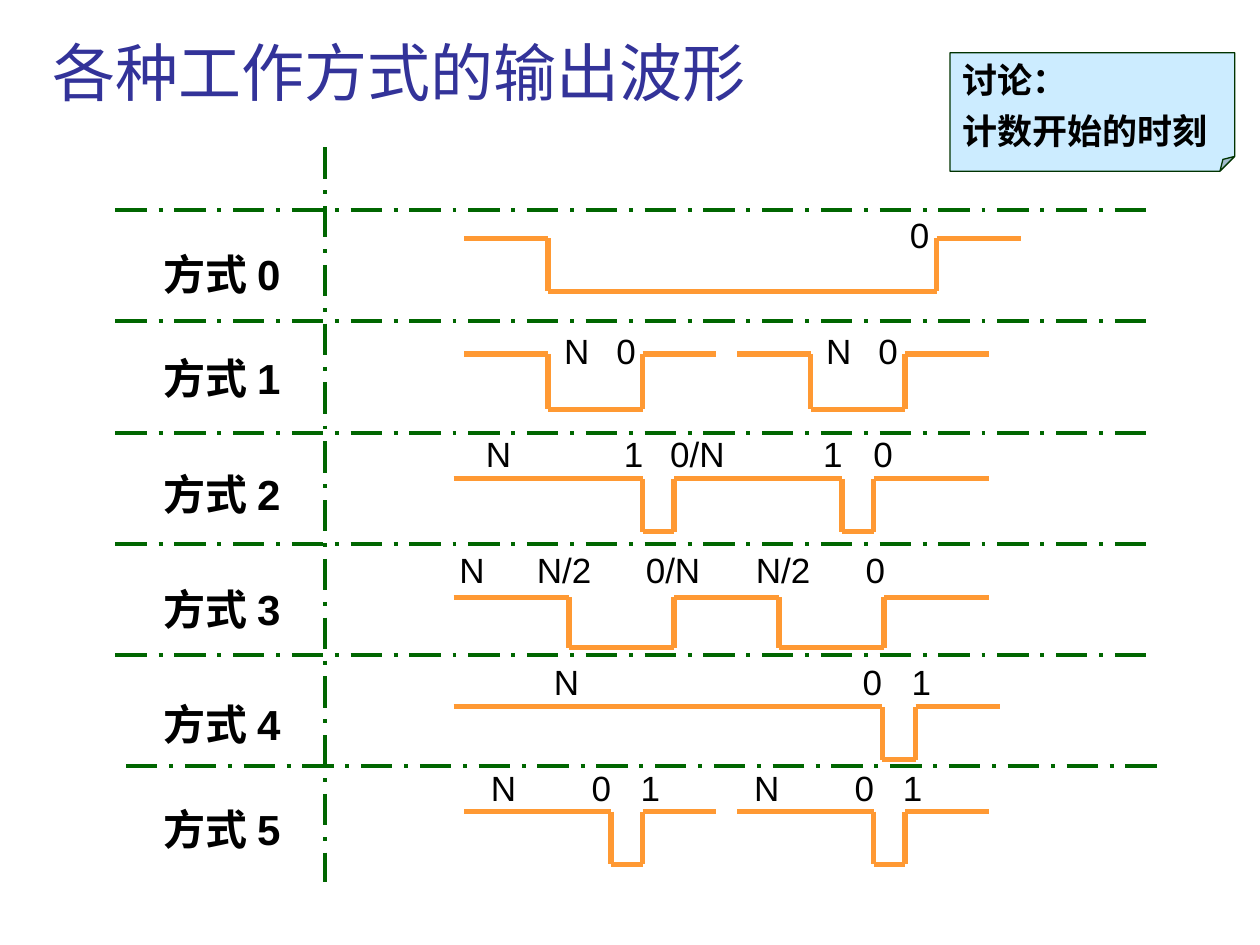
from itertools import pairwise

from lxml.etree import SubElement
from pptx import Presentation
from pptx.dml.color import RGBColor
from pptx.enum.dml import MSO_LINE
from pptx.enum.shapes import MSO_CONNECTOR, MSO_SHAPE
from pptx.enum.text import MSO_ANCHOR, PP_ALIGN
from pptx.oxml.ns import qn
from pptx.util import Pt

TITLE_BLUE = RGBColor(0x33, 0x33, 0x99)
GRID_GREEN = RGBColor(0x00, 0x66, 0x00)
WAVE_ORANGE = RGBColor(0xFF, 0x99, 0x33)
NOTE_FILL = RGBColor(0xCC, 0xEC, 0xFF)
NOTE_LINE = RGBColor(0x00, 0x33, 0x00)
BLACK = RGBColor(0, 0, 0)

ROW_PITCH = 63.5
PLOT_OFFSET = 193.2  # from the left of a row to the start of its waveforms
CAPTION_HEIGHT = 31.6

# One entry per mode; all lengths are relative to the row.
# traces: x of the start, of each edge and of the end; every trace starts high
MODES = [
    dict(label_top=18, high=16, depth=30.2, caption_top=-2.1,
         traces=[(6, 54, 276, 324)],
         captions=[("0", 266)]),
    dict(label_top=14.4, high=18.6, depth=31.7, caption_top=0.6,
         traces=[(6, 54, 108, 150), (162, 204, 258, 306)],
         captions=[("N", 68.4), ("0", 98.3), ("N", 218.2), ("0", 248)]),
    dict(label_top=17, high=26.4, depth=30.2, caption_top=-3.6,
         traces=[(0, 108, 126, 222, 240, 306)],
         captions=[("N", 23.8), ("1", 102.6), ("0/N", 139.3), ("1", 216.4), ("0", 245.2)]),
    dict(label_top=19, high=30.6, depth=28.8, caption_top=-1.1,
         traces=[(0, 66, 126, 186, 246, 306)],
         captions=[("N", 8.6), ("N/2", 63.1), ("0/N", 125.4), ("N/2", 188.3), ("0", 240.8)]),
    dict(label_top=21.6, high=29.7, depth=30.2, caption_top=-0.5,
         traces=[(0, 245, 264, 312)],
         captions=[("N", 62.6), ("0", 239.1), ("1", 267)]),
    dict(label_top=18, high=26.1, depth=30.2, caption_top=-3.4,
         traces=[(6, 90, 108, 150), (162, 240, 258, 306)],
         captions=[("N", 26.6), ("0", 84.2), ("1", 112.2),
                   ("N", 177), ("0", 234.5), ("1", 262)]),
]


def add_line(slide, x1, y1, x2, y2, color, width, dash=None):
    connector = slide.shapes.add_connector(
        MSO_CONNECTOR.STRAIGHT, Pt(x1), Pt(y1), Pt(x2), Pt(y2))
    connector.line.color.rgb = color
    connector.line.width = Pt(width)
    if dash:
        connector.line.dash_style = dash
    SubElement(connector._element.spPr, qn("a:effectLst"))


def format_font(font, name, size, color, bold=False):
    font.name = name
    font.size = Pt(size)
    font.color.rgb = color
    font.bold = bold


def add_label(slide, text, left, top, width, height, size, bold=False):
    label = slide.shapes.add_textbox(Pt(left), Pt(top), Pt(width), Pt(height))
    frame = label.text_frame
    frame.text = text
    frame.word_wrap = False
    frame.vertical_anchor = MSO_ANCHOR.MIDDLE
    frame.paragraphs[0].alignment = PP_ALIGN.CENTER
    format_font(frame.paragraphs[0].runs[0].font, "Arial", size, BLACK, bold)


def place_title(slide, left, top, width, height):
    title = slide.shapes.title
    title.left, title.top, title.width, title.height = map(Pt, (left, top, width, height))
    frame = title.text_frame
    frame.text = "各种工作方式的输出波形"
    frame.vertical_anchor = MSO_ANCHOR.BOTTOM
    frame.paragraphs[0].alignment = PP_ALIGN.LEFT
    format_font(frame.paragraphs[0].runs[0].font, "Lato", 36, TITLE_BLUE)


def draw_grid(slide, left, top, width, height):
    # Divider above each row; the last one is set in a little
    for row in range(len(MODES)):
        shift = 6 if row == len(MODES) - 1 else 0
        y = top + row * ROW_PITCH
        add_line(slide, left + shift, y, left + width + shift, y,
                 GRID_GREEN, 2.25, MSO_LINE.LONG_DASH_DOT)
    # Upright line between mode names and waveforms
    x = left + 119.8
    add_line(slide, x, top - 36, x, top + height,
             GRID_GREEN, 2.25, MSO_LINE.LONG_DASH_DOT)


def draw_trace(slide, left, high, low, edges):
    levels = [high, low] * (len(edges) // 2)
    for i, (start, end) in enumerate(pairwise(edges)):
        y = levels[i]
        add_line(slide, left + start, y, left + end, y, WAVE_ORANGE, 3)
        if i:
            add_line(slide, left + start, high, left + start, low, WAVE_ORANGE, 3)


def draw_mode(slide, left, top, number, mode):
    add_label(slide, f"方式 {number}", left + 17.3, top + mode["label_top"],
              87.1, 36, 24, bold=True)
    plot_left = left + PLOT_OFFSET
    high = top + mode["high"]
    for edges in mode["traces"]:
        draw_trace(slide, plot_left, high, high + mode["depth"], edges)
    # Counter values above the edges
    for text, center in mode["captions"]:
        width = 14.4 + 10.4 * len(text)
        add_label(slide, text, plot_left + center - width / 2,
                  top + mode["caption_top"], width, CAPTION_HEIGHT, 20)


def draw_note(slide, left, top, width, height):
    note = slide.shapes.add_shape(
        MSO_SHAPE.FOLDED_CORNER, Pt(left), Pt(top), Pt(width), Pt(height))
    # Size of the folded corner
    geometry = note._element.spPr.find(qn("a:prstGeom"))
    SubElement(geometry.find(qn("a:avLst")), qn("a:gd"), name="adj", fmla="val 12500")
    note.shadow.inherit = False
    note.fill.solid()
    note.fill.fore_color.rgb = NOTE_FILL
    note.line.color.rgb = NOTE_LINE
    note.line.width = Pt(0.75)
    frame = note.text_frame
    frame.text = "讨论：\n计数开始的时刻"
    frame.word_wrap = True
    frame.vertical_anchor = MSO_ANCHOR.MIDDLE
    for paragraph in frame.paragraphs:
        paragraph.alignment = PP_ALIGN.JUSTIFY
        format_font(paragraph.runs[0].font, "Times New Roman", 20, BLACK, bold=True)
    frame.paragraphs[1].space_before = Pt(5)


def main():
    deck = Presentation()
    deck.slide_width, deck.slide_height = Pt(720), Pt(540)
    slide = deck.slides.add_slide(deck.slide_layouts[5])

    place_title(slide, 23, 0, 489, 66.2)
    rows_left, rows_top = 66, 120.2
    draw_grid(slide, rows_left, rows_top, 594, 383.8)
    for number, mode in enumerate(MODES):
        draw_mode(slide, rows_left, rows_top + number * ROW_PITCH, number, mode)
    draw_note(slide, 542.9, 30.2, 162.7, 67.7)

    deck.save("out.pptx")


if __name__ == "__main__":
    main()
